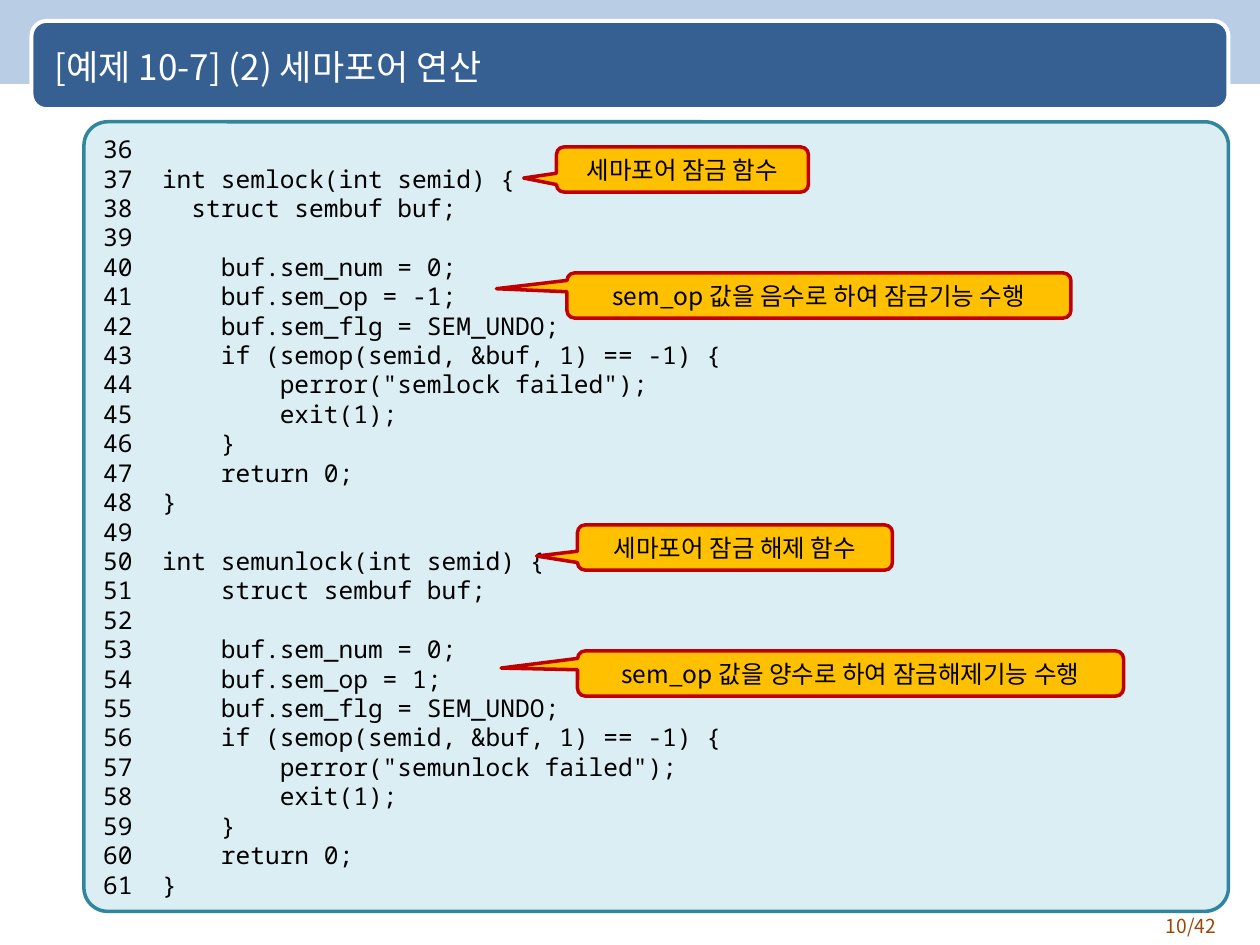
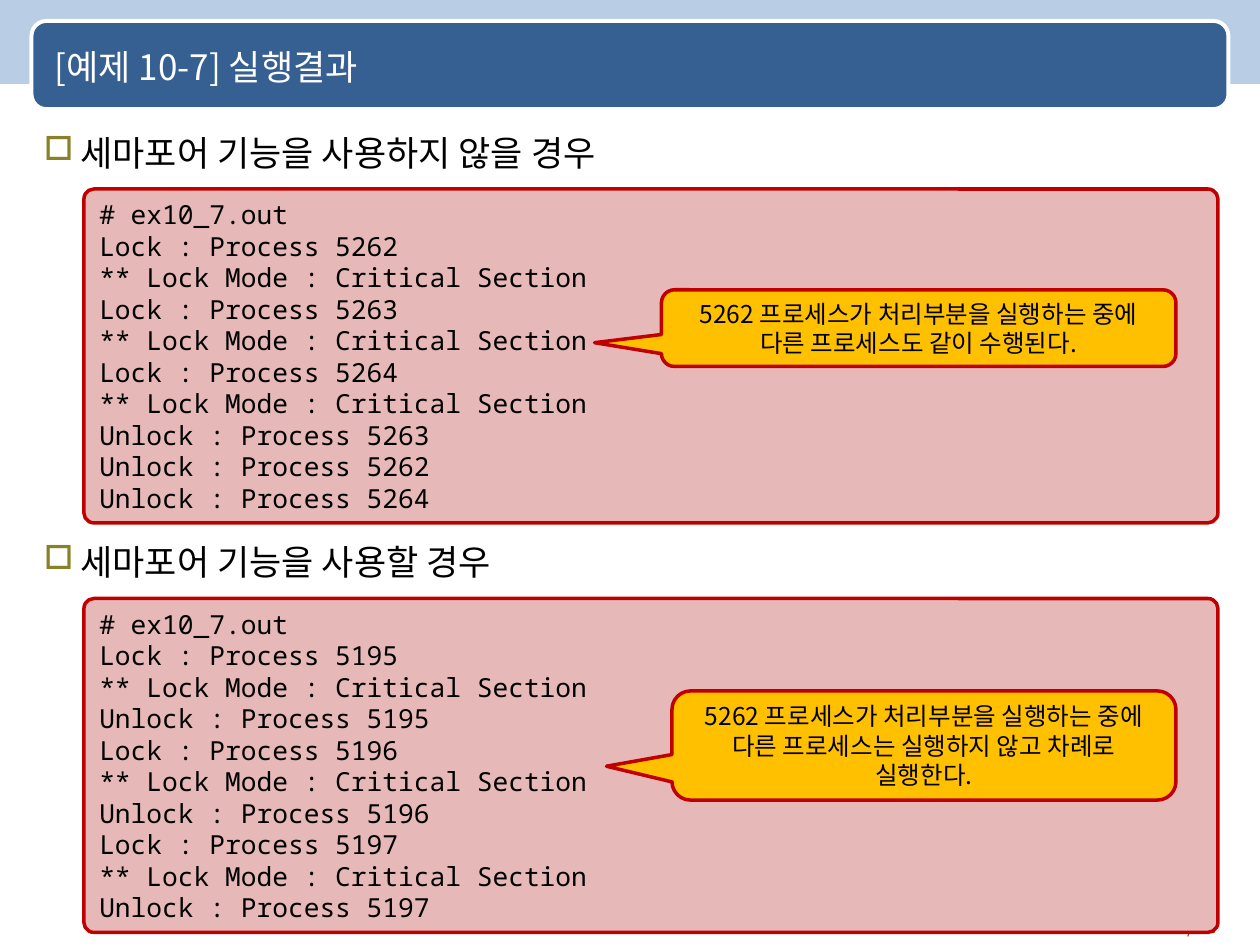
from dataclasses import dataclass

from lxml import etree
from pptx import Presentation
from pptx.dml.color import RGBColor
from pptx.enum.shapes import MSO_SHAPE
from pptx.enum.text import MSO_ANCHOR, PP_ALIGN
from pptx.oxml.ns import qn
from pptx.util import Inches, Pt

RECT = MSO_SHAPE.RECTANGLE
ROUND = MSO_SHAPE.ROUNDED_RECTANGLE
BUBBLE = MSO_SHAPE.ROUNDED_RECTANGULAR_CALLOUT
LEFT, MID, RIGHT, FULL = PP_ALIGN.LEFT, PP_ALIGN.CENTER, PP_ALIGN.RIGHT, PP_ALIGN.JUSTIFY
TOP, CENTER = MSO_ANCHOR.TOP, MSO_ANCHOR.MIDDLE

WIDE, TALL = Inches(10), Inches(7.5)
COLS, ROWS = 120, 90


@dataclass(frozen=True)
class Theme:
    sans: str = "Noto Sans CJK KR"
    mono: str = "Noto Sans Mono"
    ink: str = "000000"
    paper: str = "FFFFFF"
    sky: str = "B9CDE5"
    navy: str = "376092"
    brown: str = "984807"
    olive: str = "888128"
    ice: str = "DBEEF4"
    teal: str = "31859C"
    pink: str = "E6B9B8"
    red: str = "C00000"
    gold: str = "FFC000"
    head: float = 20
    code: float = 14
    log: float = 15
    note: float = 14
    page: float = 11
    lead: float = 1.2
    edge: float = 2
    rim: float = 2.25


T = Theme()


@dataclass(frozen=True)
class Box:
    """Place on the grid, in columns and rows."""
    x: float
    y: float
    w: float
    h: float

    def place(self) -> tuple[int, int, int, int]:
        return (round(self.x * WIDE / COLS), round(self.y * TALL / ROWS),
                round(self.w * WIDE / COLS), round(self.h * TALL / ROWS))


@dataclass(frozen=True)
class Note:
    box: Box
    tip: tuple[float, float]
    text: str


@dataclass(frozen=True)
class Panel:
    box: Box
    lines: list[str]
    fill: str
    edge: str
    size: float


BAND = Box(0, 0, COLS, 8)
PLATE = Box(3, 2, 114, 8.4)
TITLE = Box(4, 2.3, 111, 8)
FOOT = Box(107, 86.5, 10, 3.5)

FIRST = 36
AUTO = 38  # this line takes its number from the list format
CODE = """
int semlock(int semid) {
    struct sembuf buf;

    buf.sem_num = 0;
    buf.sem_op = -1;
    buf.sem_flg = SEM_UNDO;
    if (semop(semid, &buf, 1) == -1) {
        perror("semlock failed");
        exit(1);
    }
    return 0;
}

int semunlock(int semid) {
    struct sembuf buf;

    buf.sem_num = 0;
    buf.sem_op = 1;
    buf.sem_flg = SEM_UNDO;
    if (semop(semid, &buf, 1) == -1) {
        perror("semunlock failed");
        exit(1);
    }
    return 0;
}"""

CODE_NOTES = [
    Note(Box(53, 14, 24, 4.3), (-0.63, 0.19), "세마포어 잠금 함수"),
    Note(Box(54, 26, 48, 4.3), (-0.64, -0.15), "sem_op 값을 음수로 하여 잠금기능 수행"),
    Note(Box(55, 50, 30, 4.3), (-0.63, 0.19), "세마포어 잠금 해제 함수"),
    Note(Box(55, 62, 52, 4.3), (-0.64, -0.12), "sem_op 값을 양수로 하여 잠금해제기능 수행"),
]

HEADS = [
    (Box(3, 12, 114, 5), "세마포어 기능을 사용하지 않을 경우"),
    (Box(3, 51, 114, 5), "세마포어 기능을 사용할 경우"),
]
# Each step is the action and the process that takes it.
RUNS = [
    (18, [("Lock", 5262), ("Lock", 5263), ("Lock", 5264),
          ("Unlock", 5263), ("Unlock", 5262), ("Unlock", 5264)]),
    (57, [(act, pid) for pid in (5195, 5196, 5197) for act in ("Lock", "Unlock")]),
]
RUN_NOTES = [
    Note(Box(63, 27.6, 49, 7.3), (-0.63, 0.19),
         "5262 프로세스가 처리부분을 실행하는 중에 다른 프로세스도 같이 수행된다."),
    Note(Box(64, 65.8, 48, 10.4), (-0.63, 0.19),
         "5262 프로세스가 처리부분을 실행하는 중에 다른 프로세스는 실행하지 않고 차례로 실행한다."),
]


def write(shape, *lines: str, size: float, font: str = T.sans, color: str = T.ink,
          align=LEFT, anchor=CENTER) -> None:
    frame = shape.text_frame
    frame.word_wrap = True
    frame.vertical_anchor = anchor
    for i, line in enumerate(lines):
        para = frame.paragraphs[0] if i == 0 else frame.add_paragraph()
        para.alignment = align
        para.line_spacing = Pt(size * T.lead)
        run = para.add_run()
        run.text = line
        run.font.size = Pt(size)
        run.font.name = font
        run.font.color.rgb = RGBColor.from_string(color)
        east = etree.SubElement(run.font._element, qn("a:ea"))
        east.set("typeface", font)


def bullet(para, kind: str, color: str, scale: int = 100, **marks: str) -> None:
    """Add a bullet of the given XML kind; marks are its attributes."""
    props = para._p.get_or_add_pPr()
    tint = etree.SubElement(props, qn("a:buClr"))
    etree.SubElement(tint, qn("a:srgbClr")).set("val", color)
    etree.SubElement(props, qn("a:buSzPct")).set("val", str(scale * 1000))
    etree.SubElement(props, qn(kind), marks)


def draw(slide, kind, box: Box, fill: str, edge: str | None = None,
         width: float = T.edge, bends: tuple[float, ...] = ()):
    shape = slide.shapes.add_shape(kind, *box.place())
    shape.shadow.inherit = False
    shape.fill.solid()
    shape.fill.fore_color.rgb = RGBColor.from_string(fill)
    if edge:
        shape.line.color.rgb = RGBColor.from_string(edge)
        shape.line.width = Pt(width)
    else:
        shape.line.fill.background()
    for i, bend in enumerate(bends):
        shape.adjustments[i] = bend
    return shape


def label(slide, box: Box, text: str, **form):
    shape = slide.shapes.add_textbox(*box.place())
    write(shape, text, **form)
    return shape


def start(deck, title: str, page: str):
    """Add a slide with the shared band, title and page number."""
    slide = deck.slides.add_slide(deck.slide_layouts[6])
    draw(slide, RECT, BAND, T.sky)
    draw(slide, ROUND, PLATE, T.navy, T.paper, T.rim, (0.17,))
    label(slide, FOOT, page, size=T.page, color=T.brown, align=RIGHT, anchor=TOP)
    label(slide, TITLE, title, size=T.head, color=T.paper)
    return slide


def list_code(slide, panel: Panel):
    shape = draw(slide, ROUND, panel.box, panel.fill, panel.edge, bends=(0.03,))
    write(shape, *panel.lines, size=panel.size, font=T.mono, align=FULL)
    return shape


def point(slide, note: Note) -> None:
    shape = draw(slide, BUBBLE, note.box, T.gold, T.red, bends=(*note.tip, 0.17))
    write(shape, note.text, size=T.note, align=MID)


def count(code: str) -> list[str]:
    """Put a number before each code line but the one numbered by its list."""
    return [line if n == AUTO else f"{n}  {line}".rstrip()
            for n, line in enumerate(code.split("\n"), FIRST)]


def trace(steps: list[tuple[str, int]]) -> list[str]:
    lines = ["# ex10_7.out"]
    for act, pid in steps:
        lines.append(f"{act} : Process {pid}")
        if act == "Lock":
            lines.append("** Lock Mode : Critical Section")
    return lines


def show_code(deck) -> None:
    slide = start(deck, "[예제 10-7] (2) 세마포어 연산", "10/42")
    panel = Panel(Box(8, 11.6, 109, 75.2), count(CODE), T.ice, T.teal, T.code)
    shape = list_code(slide, panel)
    bullet(shape.text_frame.paragraphs[AUTO - FIRST], "a:buAutoNum", T.ink,
           type="arabicPlain", startAt=str(AUTO))
    for note in CODE_NOTES:
        point(slide, note)


def show_runs(deck) -> None:
    slide = start(deck, "[예제 10-7] 실행결과", "12/42")
    for box, text in HEADS:
        para = label(slide, box, text, size=T.head).text_frame.paragraphs[0]
        props = para._p.get_or_add_pPr()
        props.set("marL", str(Inches(0.29)))
        props.set("indent", str(-Inches(0.29)))
        bullet(para, "a:buChar", T.olive, 95, char="□")
    for row, steps in RUNS:
        list_code(slide, Panel(Box(8, row, 108, 31.8), trace(steps), T.pink, T.red, T.log))
    for note in RUN_NOTES:
        point(slide, note)


def main() -> None:
    deck = Presentation()
    deck.slide_width, deck.slide_height = WIDE, TALL
    show_code(deck)
    show_runs(deck)
    deck.save("out.pptx")


if __name__ == "__main__":
    main()
